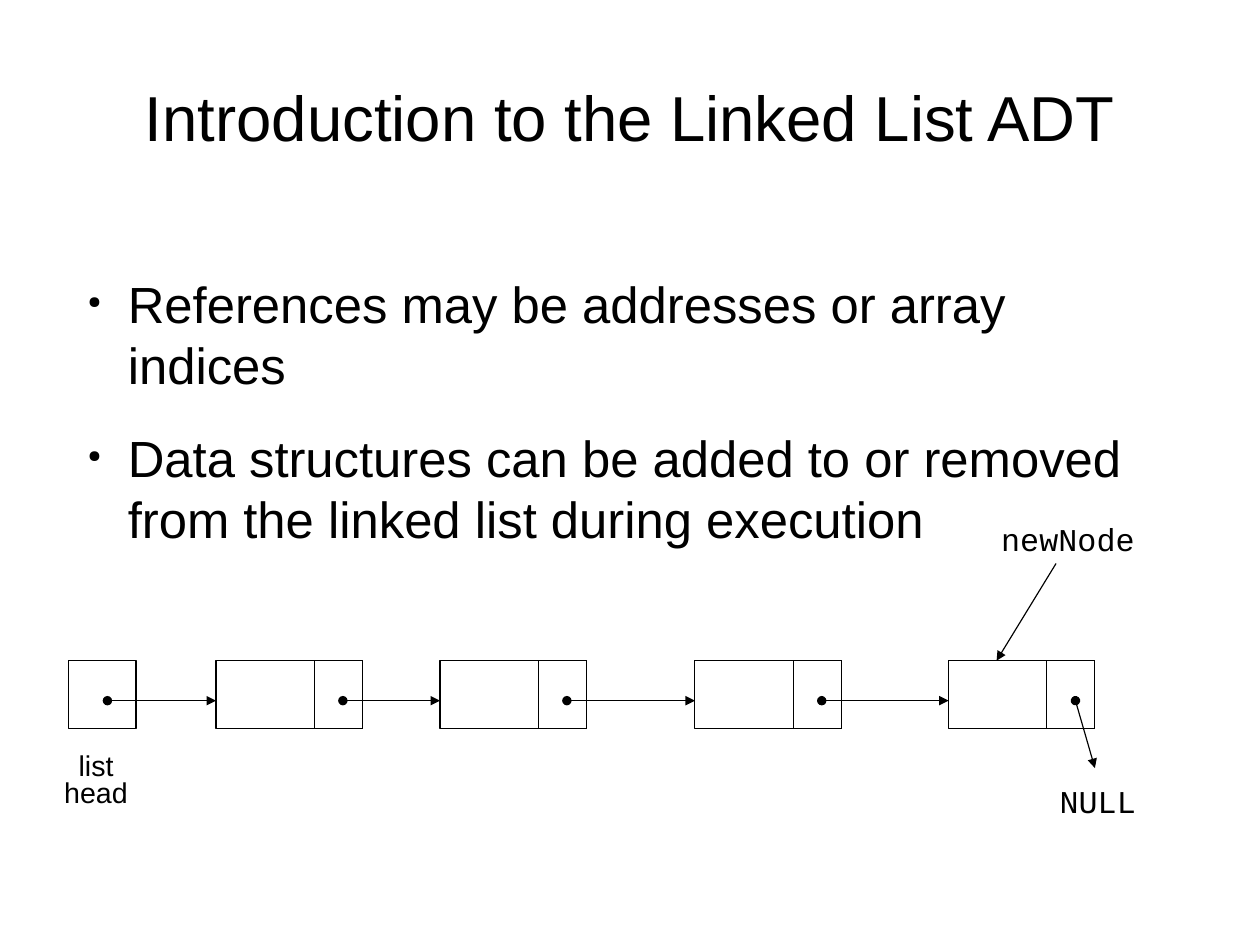
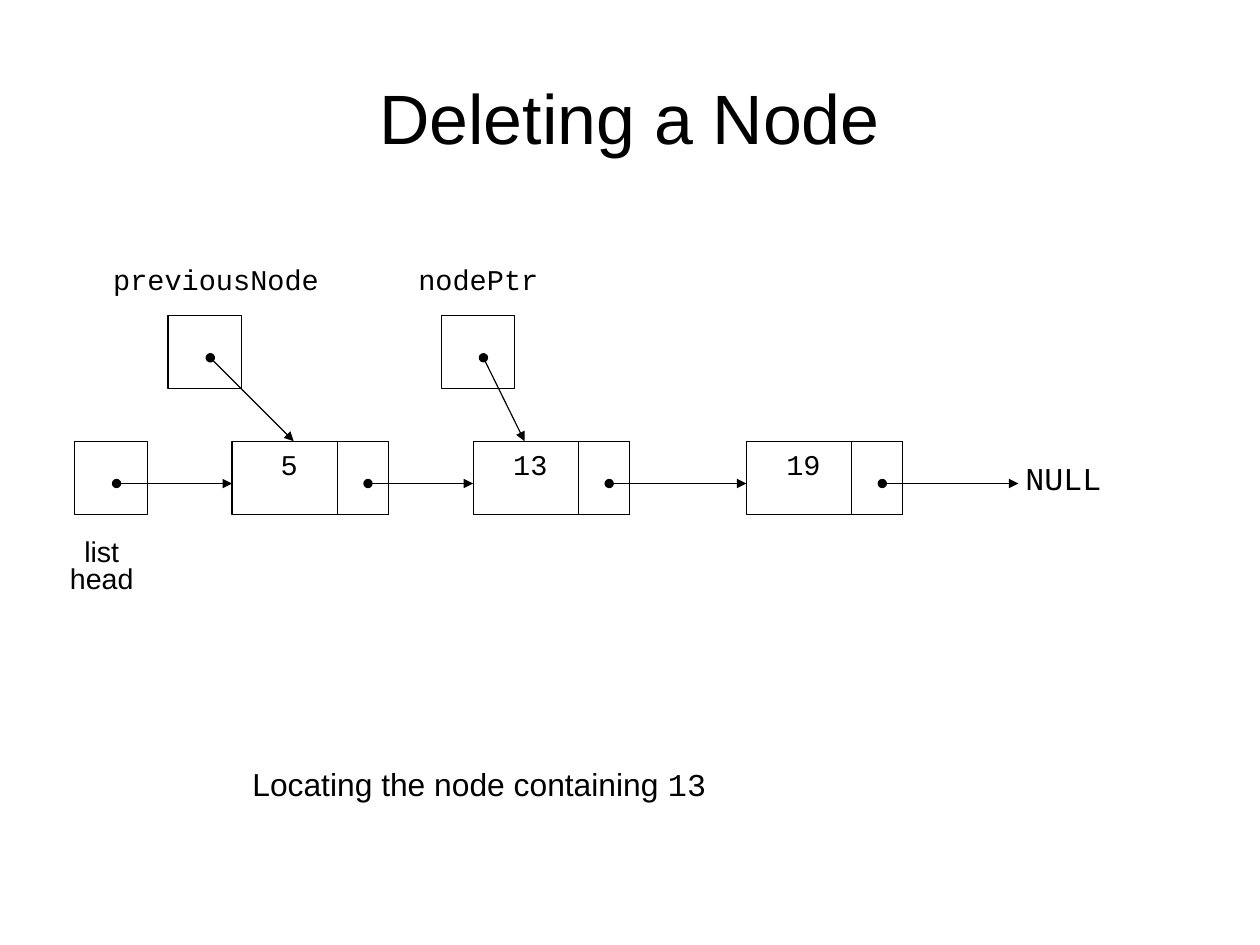
from dataclasses import dataclass

import lxml.etree
import pptx
import pptx.dml.color
import pptx.enum.shapes
import pptx.enum.text
import pptx.oxml.ns
import pptx.util

Inches = pptx.util.Inches
Pt = pptx.util.Pt
Align = pptx.enum.text.PP_ALIGN
Anchor = pptx.enum.text.MSO_ANCHOR


@dataclass(frozen=True)
class Theme:
    ink: pptx.dml.color.RGBColor = pptx.dml.color.RGBColor(0, 0, 0)
    sans: str = "Arial"
    mono: str = "Courier New"
    title: int = 44
    long_title: int = 40
    body: int = 32
    label: int = 20
    small: int = 18
    line: float = 0.75
    body_gap: int = 20
    bullet_percent: int = 33


@dataclass(frozen=True)
class NodeSize:
    cell: float
    width: float
    link: float
    pointer_x: float
    pointer_y: float
    head_x: float


def add_element(parent, tag, **attributes):
    return lxml.etree.SubElement(parent, pptx.oxml.ns.qn(tag), attributes)


class ListSlides:
    def __init__(self, deck, theme):
        self.deck = deck
        self.theme = theme
        self.page = None

    def new_page(self, title, size):
        self.page = self.deck.slides.add_slide(self.deck.slide_layouts[6])
        self.text(0.55, 0.33, 9.92, 1.38, [title], size, anchor=Anchor.MIDDLE, wrap=True)

    def style(self, font, size, name):
        font.size = Pt(size)
        font.name = name
        font.color.rgb = self.theme.ink

    def frame(self, left, top, width, height, wrap, anchor=Anchor.TOP):
        box = self.page.shapes.add_textbox(
            Inches(left), Inches(top), Inches(width), Inches(height))
        box.text_frame.word_wrap = wrap
        box.text_frame.vertical_anchor = anchor
        return box.text_frame

    def paragraphs(self, frame, lines):
        for index, line in enumerate(lines):
            para = frame.add_paragraph() if index else frame.paragraphs[0]
            para.text = line
            yield index, para

    def text(self, left, top, width, height, lines, size, name=None,
             spacing=None, anchor=Anchor.TOP, wrap=False):
        frame = self.frame(left, top, width, height, wrap, anchor)
        for _, para in self.paragraphs(frame, lines):
            para.alignment = Align.CENTER
            para.line_spacing = spacing
            self.style(para.font, size, name or self.theme.sans)

    def code(self, left, top, width, height, word, size, spacing=None):
        self.text(left, top, width, height, [word], size, self.theme.mono, spacing)

    def null(self, left, top):
        self.code(left, top, 0.87, 0.5, "NULL", self.theme.label, 1.2)

    def bullets(self, left, top, width, height, lines):
        frame = self.frame(left, top, width, height, True)
        for index, para in self.paragraphs(frame, lines):
            if index:
                para.space_before = Pt(self.theme.body_gap)
            properties = para._p.get_or_add_pPr()
            properties.set("marL", str(Inches(0.47)))
            properties.set("indent", str(Inches(-0.35)))
            add_element(properties, "a:buSzPct", val=str(self.theme.bullet_percent * 1000))
            add_element(properties, "a:buChar", char="●")
            self.style(para.font, self.theme.body, self.theme.sans)

    def caption(self, left, top, width, height, spans):
        para = self.frame(left, top, width, height, True).paragraphs[0]
        for words, name in spans:
            span = para.add_run()
            span.text = words
            self.style(span.font, self.theme.label, name)

    def rectangle(self, left, top, width, height):
        box = self.page.shapes.add_shape(
            pptx.enum.shapes.MSO_SHAPE.RECTANGLE,
            Inches(left), Inches(top), Inches(width), Inches(height))
        box.shadow.inherit = False
        box.fill.background()
        box.line.color.rgb = self.theme.ink
        box.line.width = Pt(self.theme.line)

    def arrow(self, start, end, dot=True):
        link = self.page.shapes.add_connector(
            pptx.enum.shapes.MSO_CONNECTOR.STRAIGHT,
            *(Inches(value) for value in (*start, *end)))
        link.line.color.rgb = self.theme.ink
        link.line.width = Pt(self.theme.line)
        outline = link.line._get_or_add_ln()
        if dot:
            add_element(outline, "a:headEnd", type="oval")
        add_element(outline, "a:tailEnd", type="triangle")
        add_element(link._element.spPr, "a:effectLst")

    def pointer(self, left, top, size, target):
        self.rectangle(left, top, size.cell, size.cell)
        self.arrow((left + size.head_x, top + size.pointer_y), target)

    def chain(self, head, nodes, top, size, end):
        pointer_y = top + size.pointer_y
        targets = [(left, pointer_y) for left in nodes] + [end]
        self.pointer(head, top, size, targets[0])
        for left, target in zip(nodes, targets[1:]):
            self.rectangle(left, top, size.width, size.cell)
            self.rectangle(left + size.width - size.link, top, size.link, size.cell)
            self.arrow((left + size.pointer_x, pointer_y), target)
        self.text(head - 0.37, top + size.cell + 0.18, 1.22, 0.58,
                  ["list", "head"], self.theme.small, spacing=0.8)


def build_introduction(slides):
    theme = slides.theme
    slides.new_page("Introduction to the Linked List ADT", theme.long_title)
    slides.bullets(0.55, 2.34, 9.64, 4.51, [
        "References may be addresses or array indices",
        "Data structures can be added to or removed from the linked list during execution",
    ])
    size = NodeSize(0.59, 1.28, 0.42, 1.11, 0.35, 0.34)
    slides.chain(0.6, [1.89, 3.85, 6.08, 8.3], 5.78, size, (9.58, 6.72))
    slides.null(9.17, 6.72)
    slides.code(8.66, 4.5, 1.37, 0.44, "newNode", theme.label)
    slides.arrow((9.24, 4.93), (8.72, 5.78), dot=False)


def build_deletion(slides):
    theme = slides.theme
    slides.new_page("Deleting a Node", theme.title)
    size = NodeSize(0.64, 1.37, 0.45, 1.19, 0.37, 0.37)
    top = 3.86
    nodes = {"5": 2.03, "13": 4.14, "19": 6.53}
    slides.chain(0.65, list(nodes.values()), top, size, (8.91, 4.23))
    slides.null(8.87, 3.9)
    for value, left in nodes.items():
        slides.code(left + 0.25, top, 0.5, 0.4, value, theme.small)
    for name, left, target, label_left, label_width in [
            ("previousNode", 1.47, 2.57, 0.89, 2),
            ("nodePtr", 3.86, 4.59, 3.56, 1.25)]:
        slides.pointer(left, 2.76, size, (target, top))
        slides.code(label_left, 2.3, label_width, 0.34, name, theme.small, 0.8)
    slides.caption(2.11, 6.64, 4.64, 0.44, [
        ("Locating the node containing ", theme.sans), ("13", theme.mono)])


def main():
    deck = pptx.Presentation()
    deck.slide_width = pptx.util.Emu(10080625)
    deck.slide_height = pptx.util.Emu(7559675)
    slides = ListSlides(deck, Theme())
    build_introduction(slides)
    build_deletion(slides)
    deck.save("out.pptx")


if __name__ == "__main__":
    main()
